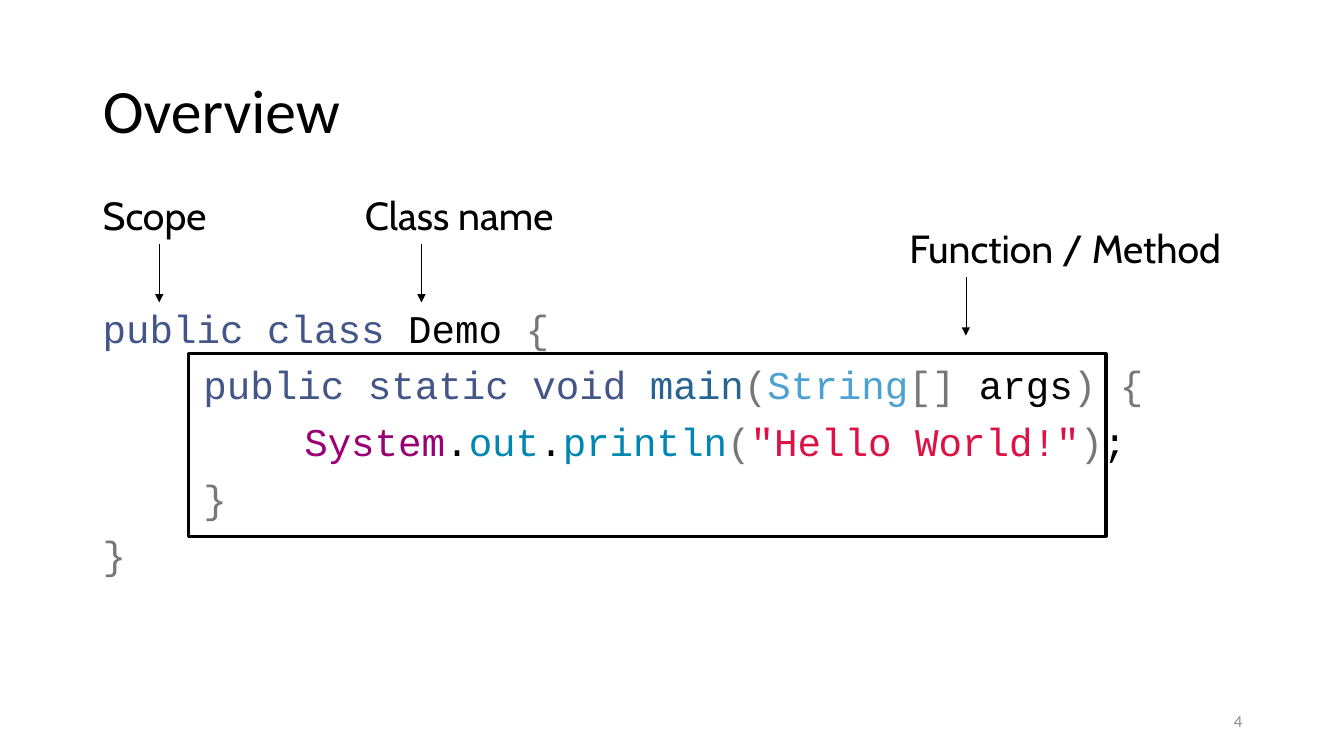
from lxml import etree
from pptx import Presentation
from pptx.dml.color import RGBColor
from pptx.enum import shapes, text
from pptx.oxml import ns
from pptx.util import Inches, Pt

BLACK, GRAY = "000000", "777777"
KEYWORD, MEMBER = "445588", "0086B3"
MARGIN, CONTENT_WIDTH = 0.92, 11.5

CODE = [
    [("public class", KEYWORD), (" Demo ", BLACK), ("{", GRAY)],
    [("\tpublic static void ", KEYWORD), ("main", "286491"), ("(", GRAY),
     ("String", "4DA0D2"), ("[]", GRAY), (" args", BLACK), (") {", GRAY)],
    [("\t\tSystem", "990073"), (".", BLACK), ("out", MEMBER), (".", BLACK),
     ("println", MEMBER), ("(", GRAY), ('"Hello World!"', "DD1144"),
     (")", GRAY), (";", BLACK)],
    [("\t}", GRAY)],
    [("}", GRAY)],
]
LABELS = [
    ("Scope", 0.92, 1.85, 1.24),
    ("Class name", 3.52, 1.85, 2.47),
    ("Function / Method", 8.92, 2.18, 3.5),
]


def color(value):
    return RGBColor.from_string(value)


class SlideBuilder:
    def __init__(self, presentation):
        self.slide = presentation.slides.add_slide(presentation.slide_layouts[5])
        self.shapes = self.slide.shapes

    def style(self, paragraph, font, size, fill=BLACK):
        paragraph.font.name = font
        paragraph.font.size = Pt(size)
        paragraph.font.color.rgb = color(fill)

    def title(self, words):
        shape = self.shapes.title
        shape.left, shape.top = Inches(MARGIN), Inches(0.4)
        shape.width, shape.height = Inches(CONTENT_WIDTH), Inches(1.45)
        frame = shape.text_frame
        frame.text = words
        frame.vertical_anchor = text.MSO_ANCHOR.MIDDLE
        paragraph = frame.paragraphs[0]
        paragraph.alignment = text.PP_ALIGN.LEFT
        paragraph.line_spacing = 0.9
        self.style(paragraph, "Calibri", 44)

    def text_box(self, left, top, width, height):
        box = self.shapes.add_textbox(
            Inches(left), Inches(top), Inches(width), Inches(height))
        box.text_frame.word_wrap = True
        return box.text_frame

    def code(self, lines, top):
        frame = self.text_box(MARGIN, top, CONTENT_WIDTH, 3)
        for index, line in enumerate(lines):
            paragraph = frame.add_paragraph() if index else frame.paragraphs[0]
            paragraph.line_spacing = Pt(40.5)
            self.tab_stops(paragraph, 1, 2)
            self.style(paragraph, "Courier New", 28)
            for token, fill in line:
                run = paragraph.add_run()
                run.text = token
                run.font.color.rgb = color(fill)

    def tab_stops(self, paragraph, *positions):
        properties = paragraph._p.get_or_add_pPr()
        stops = etree.SubElement(properties, ns.qn("a:tabLst"))
        for position in positions:
            etree.SubElement(stops, ns.qn("a:tab"),
                             pos=str(Inches(position)), algn="l")

    def label(self, words, left, top, width):
        """Add a label with an arrow pointing down from it."""
        height = 0.57
        frame = self.text_box(left, top, width, height)
        frame.word_wrap = False
        frame.text = words
        self.style(frame.paragraphs[0], "Cabin", 28)
        self.arrow_down(left + 0.66, top + height, 0.58)

    def arrow_down(self, x, top, length):
        arrow = self.shapes.add_connector(
            shapes.MSO_CONNECTOR.STRAIGHT,
            Inches(x), Inches(top), Inches(x), Inches(top + length))
        arrow.line.color.rgb = color(BLACK)
        arrow.line.width = Pt(0.5)
        etree.SubElement(arrow.line._get_or_add_ln(), ns.qn("a:tailEnd"),
                         type="triangle")
        etree.SubElement(arrow._element.spPr, ns.qn("a:effectLst"))

    def frame(self, left, top, width, height):
        shape = self.shapes.add_shape(
            shapes.MSO_SHAPE.RECTANGLE,
            Inches(left), Inches(top), Inches(width), Inches(height))
        shape.shadow.inherit = False
        shape.fill.background()
        shape.line.color.rgb = color(BLACK)
        shape.line.width = Pt(2.25)

    def page_number(self, number):
        frame = self.text_box(9.42, 6.95, 3, 0.4)
        frame.vertical_anchor = text.MSO_ANCHOR.MIDDLE
        frame.text = number
        paragraph = frame.paragraphs[0]
        paragraph.alignment = text.PP_ALIGN.RIGHT
        self.style(paragraph, "Calibri", 12, "8C8C8C")


def main():
    presentation = Presentation()
    presentation.slide_width = Inches(13.33)
    presentation.slide_height = Inches(7.5)
    builder = SlideBuilder(presentation)
    builder.title("Overview")
    builder.code(CODE, 2.87)
    builder.page_number("4")
    for label in LABELS:
        builder.label(*label)
    builder.frame(1.87, 3.51, 9.1, 1.81)
    presentation.save("out.pptx")


if __name__ == "__main__":
    main()
